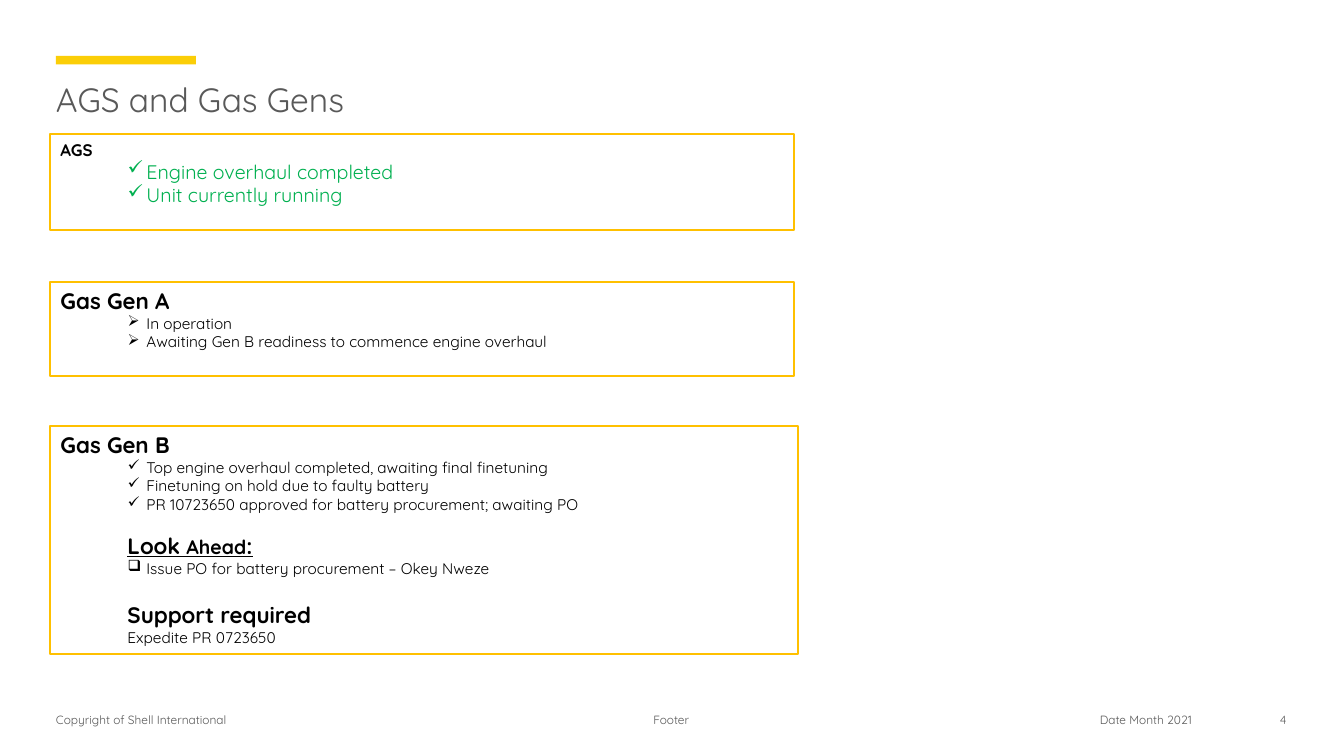
"""Builds the AGS and Gas Gens status slide."""
from lxml import etree
from pptx import Presentation
from pptx.dml.color import RGBColor
from pptx.enum import shapes, text
from pptx.oxml import ns
from pptx.util import Pt

THEME = dict(font="Quicksand", gold="FBCE07", edge="FFC000", grey="595959",
             black="000000", green="00B050",
             foot=8.5, body=11, label=12, mid=14, head=16, title=24)
LEFT, CENTER, RIGHT = text.PP_ALIGN.LEFT, text.PP_ALIGN.CENTER, text.PP_ALIGN.RIGHT
INDENT, HANG = 48, 13.5
EDGE = 36

TITLE = ("AGS and Gas Gens", 40, 56, 880, 59, "title", LEFT)
FOOT = [
    ("Copyright of Shell International", 40, 509, 264, 19, "foot", LEFT),
    ("Footer", 305, 509, 349, 19, "foot", CENTER),
    ("Date Month 2021", 762, 509, 113, 19, "foot", CENTER),
    ("4", 891, 509, 28, 19, "foot", RIGHT),
]
HEAD = dict(size="head", bold=True)
SUB = dict(HEAD, left=INDENT)
ITEM = dict(size="body", left=INDENT)
TICK = dict(ITEM, mark="✓")
DONE = dict(TICK, size="mid", color="green")
ARROW = dict(ITEM, mark="➢")
TASK = dict(ITEM, mark="❑")
LOOK = [("Look ", "head"), ("Ahead", "mid"), (":", "head")]
CARDS = [
    (96, 531, 68, [
        ("AGS", dict(HEAD, size="label")),
        ("Engine overhaul completed", DONE),
        ("Unit currently running", DONE)]),
    (201.5, 531, 67, [
        ("Gas Gen A", HEAD),
        ("In operation", ARROW),
        ("Awaiting Gen B readiness to commence engine overhaul", ARROW)]),
    (304.5, 534, 163, [
        ("Gas Gen B", HEAD),
        ("Top engine overhaul completed, awaiting final finetuning", TICK),
        ("Finetuning on hold due to faulty battery", TICK),
        ("PR 10723650 approved for battery procurement; awaiting PO", TICK),
        (LOOK, dict(SUB, underline=True, before=13.2)),
        ("Issue PO for battery procurement – Okey Nweze", TASK),
        ("Support required", dict(SUB, before=16.8)),
        ("Expedite PR 0723650", ITEM)]),
]


def tint(name):
    return RGBColor.from_string(THEME[name])


def assign(obj, vals):
    for key, val in vals.items():
        setattr(obj, key, val)


def add_run(para, words, size, color, **form):
    run = para.add_run()
    run.text = words
    assign(run.font, dict(form, name=THEME["font"], size=Pt(THEME[size])))
    run.font.color.rgb = tint(color)


def add_box(slide, x, y, w, h):
    box = slide.shapes.add_shape(shapes.MSO_SHAPE.RECTANGLE, Pt(x), Pt(y), Pt(w), Pt(h))
    box.shadow.inherit = False
    return box


def add_label(slide, words, x, y, w, h, size, align):
    frame = slide.shapes.add_textbox(Pt(x), Pt(y), Pt(w), Pt(h)).text_frame
    assign(frame, dict(word_wrap=True, margin_left=0, margin_top=0,
                       margin_right=0, margin_bottom=0))
    para = frame.paragraphs[0]
    para.alignment = align
    add_run(para, words, size, "grey")


def add_line(para, words, size, color="black", left=0, mark=None, before=0,
             bold=False, underline=False):
    assign(para, dict(alignment=LEFT, space_before=Pt(before)))
    props = para._p.get_or_add_pPr()
    hang = HANG if mark else 0
    props.set("marL", str(Pt(left + hang)))
    props.set("indent", str(-Pt(hang)))
    if mark:
        etree.SubElement(props, ns.qn("a:buChar")).set("char", mark)
    runs = [(words, size)] if isinstance(words, str) else words
    for part, scale in runs:
        add_run(para, part, scale, color, bold=bold, underline=underline)


def add_card(slide, y, w, h, lines):
    box = add_box(slide, EDGE, y, w, h)
    box.fill.background()
    box.line.color.rgb = tint("edge")
    box.line.width = Pt(1.5)
    frame = box.text_frame
    assign(frame, dict(word_wrap=True, vertical_anchor=text.MSO_ANCHOR.TOP))
    for i, (words, form) in enumerate(lines):
        para = frame.add_paragraph() if i else frame.paragraphs[0]
        add_line(para, words, **form)


def main():
    deck = Presentation()
    assign(deck, dict(slide_width=Pt(960), slide_height=Pt(540)))
    slide = deck.slides.add_slide(deck.slide_layouts[6])
    bar = add_box(slide, 40, 40, 100, 6)
    bar.fill.solid()
    bar.fill.fore_color.rgb = tint("gold")
    bar.line.fill.background()
    for label in [TITLE, *FOOT]:
        add_label(slide, *label)
    for card in CARDS:
        add_card(slide, *card)
    deck.save("out.pptx")


if __name__ == "__main__":
    main()
